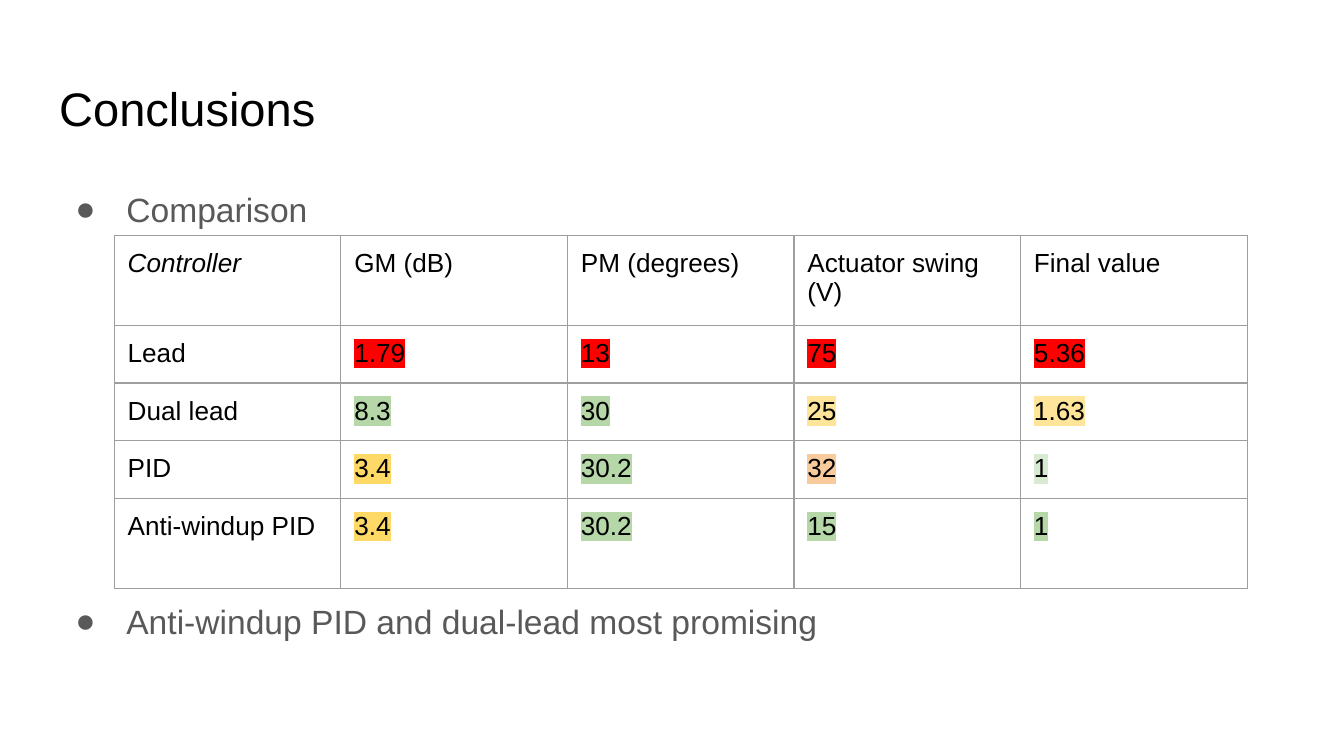
from pptx import Presentation
from pptx.dml.color import RGBColor
from pptx.enum.text import MSO_ANCHOR, MSO_AUTO_SIZE, PP_ALIGN
from pptx.oxml.ns import qn
from pptx.util import Inches, Pt
from lxml import etree

TOP, LEFT, FIXED = MSO_ANCHOR.TOP, PP_ALIGN.LEFT, MSO_AUTO_SIZE.NONE
INK, GREY, EDGE = "000000", "595959", "9E9E9E"
RED, GREEN, PALE = "FF0000", "B6D7A8", "D9EAD3"
CREAM, GOLD, PEACH = "FFE599", "FFD966", "F9CB9C"


def style(font, size, color):
    font.name, font.size, font.bold = "Arial", Pt(size), False
    font.color.rgb = RGBColor.from_string(color)


def add(node, tag, **attrs):
    return etree.SubElement(node, qn(tag), **attrs)


prs = Presentation()
prs.slide_width = Inches(10)
prs.slide_height = prs.slide_width * 9 // 16
slide = prs.slides.add_slide(prs.slide_layouts[1])
title, body = slide.placeholders

for box, top, width, height in (
    (title, 0.49, 9.32, 0.63),
    (body, 1.26, 8.94, 4.03),
):
    box.left, box.top = Inches(0.34), Inches(top)
    box.width, box.height = Inches(width), Inches(height)
    frame = box.text_frame
    frame.word_wrap, frame.auto_size = True, FIXED
    frame.vertical_anchor = TOP
    frame.margin_left = frame.margin_right = Inches(0.1)
    frame.margin_top = frame.margin_bottom = Inches(0.1)

title.text_frame.text = "Conclusions"
head = title.text_frame.paragraphs[0]
head.alignment = LEFT
style(head.runs[0].font, 25.2, INK)

body.text_frame.text = "Comparison\nAnti-windup PID and dual-lead most promising"
for para, gap in zip(body.text_frame.paragraphs, (0, 196)):
    props = para._p.get_or_add_pPr()
    props.set("marL", str(Inches(0.5)))
    props.set("indent", str(Inches(-0.38)))
    add(add(props, "a:buClr"), "a:srgbClr", val=GREY)
    add(props, "a:buFont", typeface="Arial")
    add(props, "a:buChar", char="●")
    para.alignment, para.line_spacing = LEFT, 1.15
    para.space_before = Pt(gap)
    style(para.runs[0].font, 18, GREY)

rows = (
    ("Controller", "GM (dB)", "PM (degrees)", "Actuator swing (V)", "Final value"),
    ("Lead", "1.79", "13", "75", "5.36"),
    ("Dual lead", "8.3", "30", "25", "1.63"),
    ("PID", "3.4", "30.2", "32", "1"),
    ("Anti-windup PID", "3.4", "30.2", "15", "1"),
)
marks = (
    (None,) * 5,
    (None, RED, RED, RED, RED),
    (None, GREEN, GREEN, CREAM, CREAM),
    (None, GOLD, GREEN, PEACH, PALE),
    (None, GOLD, GREEN, GREEN, GREEN),
)
tall = (0.67, 0.43, 0.43, 0.43, 0.67)
table = slide.shapes.add_table(
    5, 5, Inches(0.85), Inches(1.75), Inches(8.43), Inches(sum(tall))
).table
table.first_row = table.horz_banding = False

for col in table.columns:
    col.width = Inches(8.43 / 5)
for r, (words, hues) in enumerate(zip(rows, marks)):
    table.rows[r].height = Inches(tall[r])
    for c, (word, hue) in enumerate(zip(words, hues)):
        cell = table.cell(r, c)
        cell.text = word
        cell.vertical_anchor = TOP
        cell.margin_left = cell.margin_right = Inches(0.1)
        cell.margin_top = cell.margin_bottom = Inches(0.1)
        run = cell.text_frame.paragraphs[0].runs[0]
        style(run.font, 14, INK)
        run.font.italic = r == c == 0
        if hue:
            props = run._r.get_or_add_rPr()
            mark = add(props, "a:highlight")
            add(mark, "a:srgbClr", val=hue)
            props.find(qn("a:solidFill")).addnext(mark)
        props = cell._tc.get_or_add_tcPr()
        for side in ("L", "R", "T", "B"):
            line = add(props, "a:ln" + side, w=str(Pt(0.75)))
            add(add(line, "a:solidFill"), "a:srgbClr", val=EDGE)
        cell.fill.background()

prs.save("out.pptx")
